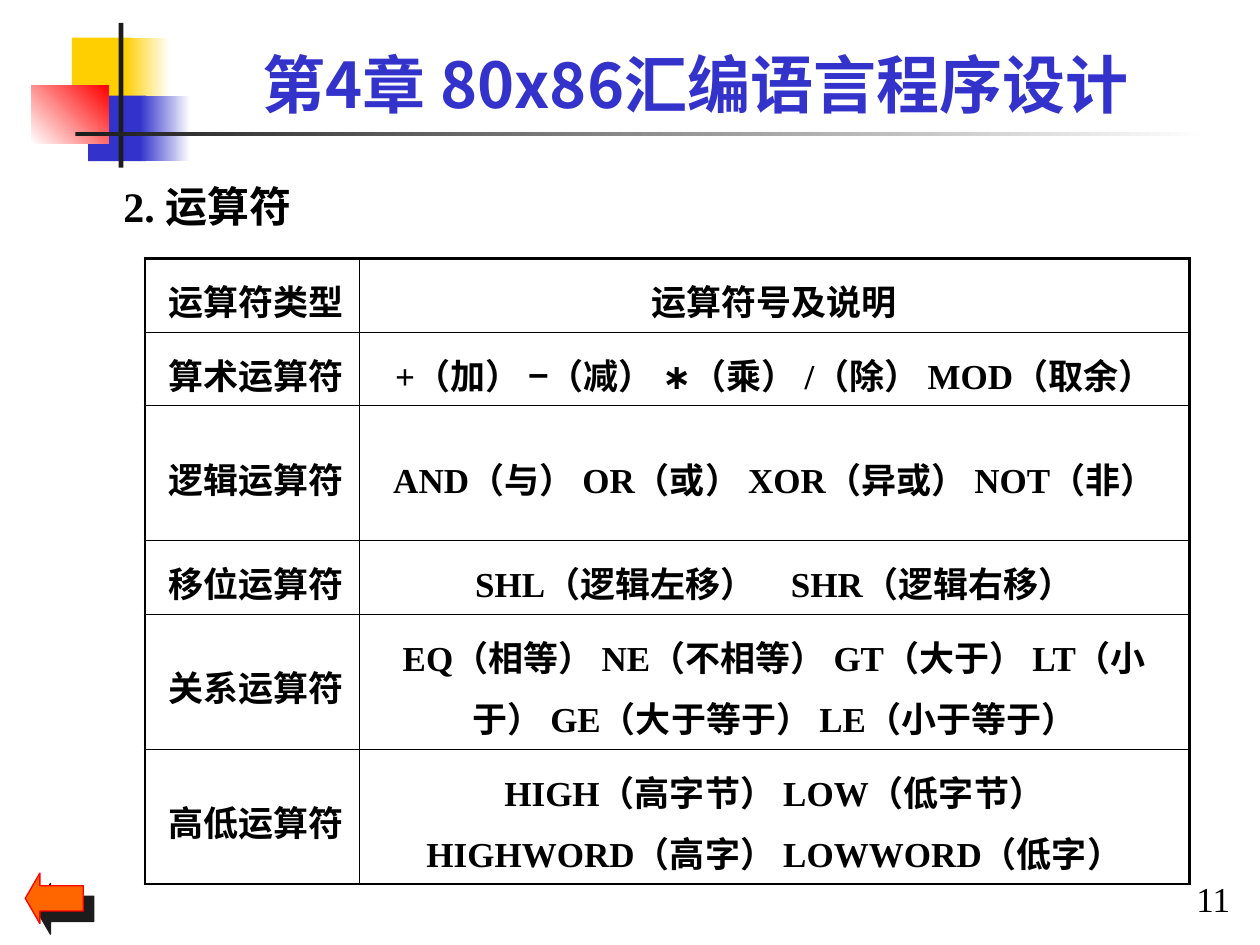
from lxml import etree
from pptx import Presentation
from pptx.dml.color import RGBColor
from pptx.enum import shapes, text
from pptx.oxml import ns
from pptx.util import Cm, Pt

COLORS = {"yellow": "FFCF01", "blue": "3333CC", "red": "FF0000", "dark": "1C1C1C",
          "orange": "FF6600", "white": "FFFFFF", "black": "000000"}
SERIF, SANS, SYMBOL = "Times New Roman", "Noto Sans CJK SC", "Arial"

TITLE = "第4章 80x86汇编语言程序设计"
HEADING = "2. 运算符"
PAGE = "11"
OPERATORS = [
    ("运算符类型", ["运算符号及说明"]),
    ("算术运算符", ["+（加） −（减） ∗（乘） /（除） MOD（取余）"]),
    ("逻辑运算符", ["AND（与） OR（或） XOR（异或） NOT（非）"]),
    ("移位运算符", ["SHL（逻辑左移）　SHR（逻辑右移）"]),
    ("关系运算符", ["EQ（相等） NE（不相等） GT（大于） LT（小于） GE（大于等于） LE（小于等于）"]),
    ("高低运算符", ["HIGH（高字节） LOW（低字节）", "HIGHWORD（高字） LOWWORD（低字）"]),
]
TALL_ROWS = {2, 4, 5}
ROW_HEIGHT, TALL_HEIGHT = 1.47, 2.72
COLUMN_WIDTHS = (4.32, 16.74)
THICK, THIN = 1.47, 0.45

DECORATION = [
    ((1.45, 0.76, 1.22, 1.32), ("yellow",), 0),
    ((2.51, 0.76, 0.91, 1.32), ("yellow", "white"), 0),
    ((1.78, 1.93, 1.17, 1.32), ("blue",), 0),
    ((2.82, 1.93, 1.02, 1.32), ("blue", "white"), 0),
    ((0.64, 1.73, 1.55, 1.17), ("white", "red"), 45),
    ((2.39, 0.46, 0.1, 2.92), ("dark",), 0),
    ((1.52, 2.67, 22.86, 0.08), ("dark", "white"), 0),
]


def rgb(name):
    return RGBColor.from_string(COLORS[name])


def add_child(parent, tag, **attributes):
    child = etree.SubElement(parent, ns.qn(tag))
    for key, value in attributes.items():
        child.set(key, str(value))
    return child


def add_run(paragraph, words, size, font=SERIF, color="black", bold=True):
    run = paragraph.add_run()
    run.text = words
    run.font.size = Pt(size)
    run.font.name = font
    run.font.bold = bold
    run.font.color.rgb = rgb(color)
    add_child(run.font._element, "a:ea", typeface=SANS)


def prepare_frame(frame, anchor, wrap=True):
    frame.margin_left = frame.margin_right = frame.margin_top = frame.margin_bottom = 0
    frame.vertical_anchor = anchor
    frame.auto_size = text.MSO_AUTO_SIZE.NONE
    frame.word_wrap = wrap
    return frame.paragraphs[0]


def add_plain_shape(slide, kind, place, colors, angle=0):
    shape = slide.shapes.add_shape(kind, *map(Cm, place))
    shape.shadow.inherit = False
    shape.line.fill.background()
    if len(colors) == 1:
        shape.fill.solid()
        shape.fill.fore_color.rgb = rgb(colors[0])
    else:
        shape.fill.gradient()
        shape.fill.gradient_angle = angle
        for stop, color in zip(shape.fill.gradient_stops, colors):
            stop.color.rgb = rgb(color)
    return shape


def add_back_arrow(slide):
    arrow = add_plain_shape(slide, shapes.MSO_SHAPE.LEFT_ARROW, (0.51, 17.6, 1.17, 1.02), ("orange",))
    arrow.adjustments[1] = 0.29
    arrow.line.color.rgb = rgb("red")
    arrow.line.width = Pt(0.75)
    effects = arrow._element.spPr.find(ns.qn("a:effectLst"))
    shadow = add_child(effects, "a:outerShdw", dist=Pt(8.5), dir=45 * 60000, algn="ctr", rotWithShape=0)
    add_child(shadow, "a:srgbClr", val=COLORS["dark"])


def set_borders(cell, widths):
    properties = cell._tc.get_or_add_tcPr()
    for side, width in zip("LRTB", widths):
        line = add_child(properties, f"a:ln{side}", w=Pt(width))
        add_child(add_child(line, "a:solidFill"), "a:srgbClr", val=COLORS["black"])


def add_operator_table(slide):
    heights = [TALL_HEIGHT if i in TALL_ROWS else ROW_HEIGHT for i in range(len(OPERATORS))]
    frame = slide.shapes.add_table(len(OPERATORS), 2, Cm(2.92), Cm(5.21),
                                   Cm(sum(COLUMN_WIDTHS)), Cm(sum(heights)))
    table = frame.table
    table.first_row = table.horz_banding = False
    for column, width in zip(table.columns, COLUMN_WIDTHS):
        column.width = Cm(width)
    last = len(OPERATORS) - 1
    for r, (category, symbols) in enumerate(OPERATORS):
        table.rows[r].height = Cm(heights[r])
        for c, lines in enumerate(([category], symbols)):
            cell = table.cell(r, c)
            outer = (c == 0, c == 1, r == 0, r == last)
            set_borders(cell, [THICK if edge else THIN for edge in outer])
            cell.fill.background()
            cell.vertical_anchor = text.MSO_ANCHOR.MIDDLE
            if c == 0:
                cell.margin_left = Cm(0.43)
            for i, words in enumerate(lines):
                paragraph = cell.text_frame.add_paragraph() if i else cell.text_frame.paragraphs[0]
                paragraph.alignment = text.PP_ALIGN.CENTER
                paragraph.line_spacing = 1.2
                before, star, after = words.partition("∗")
                for part, font in ((before, SERIF), (star, SYMBOL), (after, SERIF)):
                    if part:
                        add_run(paragraph, part, 20, font)


def main():
    deck = Presentation()
    deck.slide_width, deck.slide_height = Cm(25.4), Cm(19.05)
    slide = deck.slides.add_slide(deck.slide_layouts[5])

    for place, colors, angle in DECORATION:
        add_plain_shape(slide, shapes.MSO_SHAPE.RECTANGLE, place, colors, angle)

    title = slide.shapes.title
    title.left, title.top, title.width, title.height = map(Cm, (3.2, 0.91, 21.64, 1.52))
    paragraph = prepare_frame(title.text_frame, text.MSO_ANCHOR.TOP)
    paragraph.alignment = text.PP_ALIGN.CENTER
    add_run(paragraph, TITLE, 36, SANS, "blue")

    heading = slide.shapes.add_textbox(*map(Cm, (2.49, 3.43, 21.84, 1.22)))
    paragraph = prepare_frame(heading.text_frame, text.MSO_ANCHOR.TOP)
    paragraph.line_spacing = 1.2
    add_run(paragraph, HEADING, 24)

    add_operator_table(slide)
    add_back_arrow(slide)

    page = slide.shapes.add_textbox(*map(Cm, (23.95, 17.68, 1.02, 0.86)))
    paragraph = prepare_frame(page.text_frame, text.MSO_ANCHOR.MIDDLE, wrap=False)
    paragraph.alignment = text.PP_ALIGN.CENTER
    add_run(paragraph, PAGE, 20, bold=False)

    deck.save("out.pptx")


if __name__ == "__main__":
    main()
